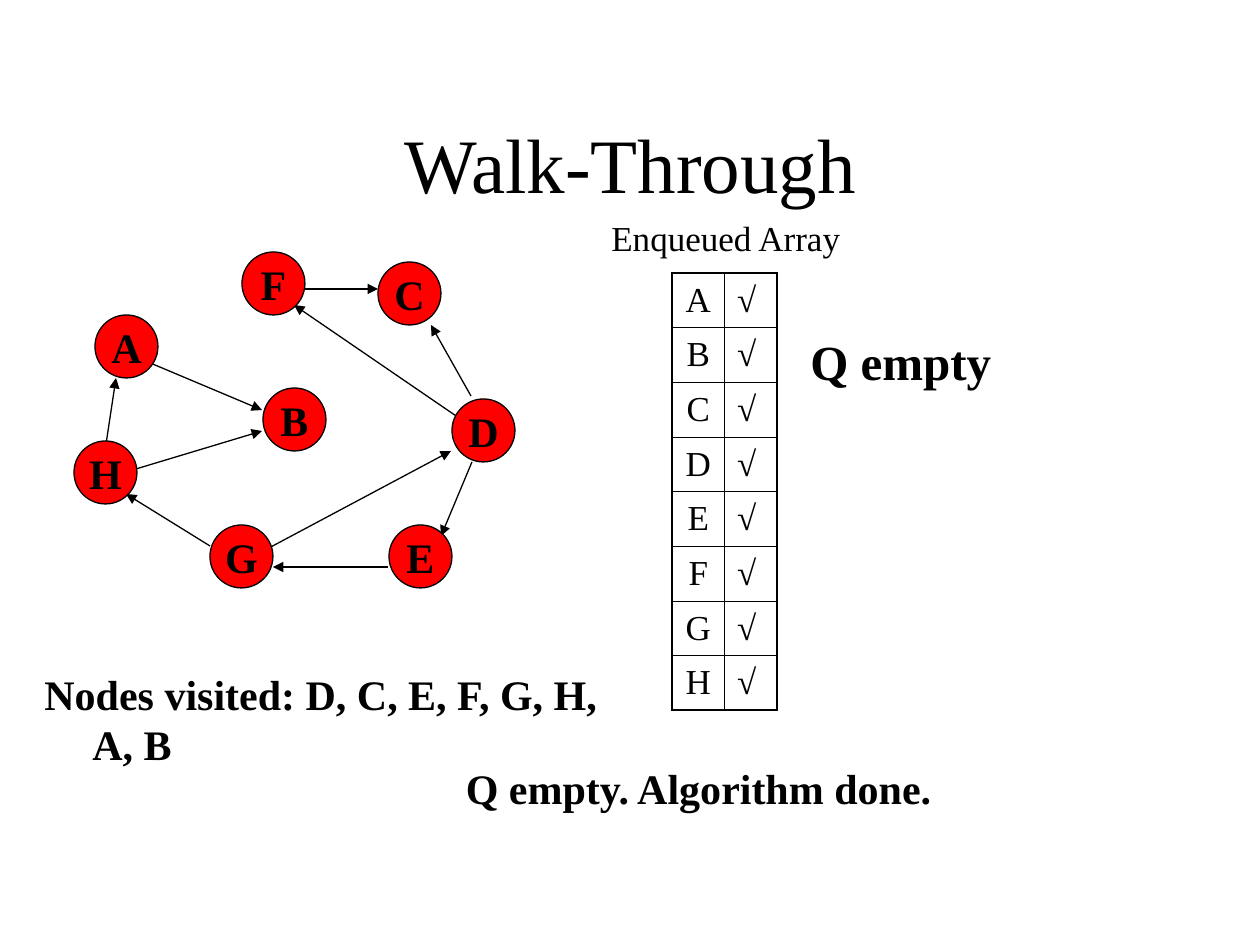
from lxml import etree
from pptx import Presentation
from pptx import util as u
from pptx.dml.color import RGBColor
from pptx.enum import shapes, text
from pptx.oxml.ns import qn

EMU_PER_PX = 914400 / 126
FONT = "Times New Roman"
BLACK, RED = "000000", "FF0000"
CENTER, LEFT = text.PP_ALIGN.CENTER, text.PP_ALIGN.LEFT
MIDDLE = text.MSO_ANCHOR.MIDDLE
NODE_SIZE = 63

NODES = {
    "A": (95, 315), "H": (74, 441), "B": (263, 388), "F": (242, 252),
    "E": (389, 525), "D": (452, 399), "C": (378, 262), "G": (210, 525),
}
EDGES = [
    (462, 420, 294, 305),  # D to F
    (472, 462, 441, 536),  # D to E
    (126, 472, 262, 431),  # H to B
    (252, 557, 451, 451),  # G to D
    (105, 451, 116, 378),  # H to A
    (136, 357, 262, 410),  # A to B
    (471, 396, 431, 325),  # D to C
    (388, 567, 273, 567),  # E to G
    (210, 546, 126, 494),  # G to H
    (305, 289, 378, 289),  # F to C
]


def px(length):
    return u.Emu(round(length * EMU_PER_PX))


def color(value):
    return RGBColor.from_string(value)


def apply(target, **values):
    for name, value in values.items():
        setattr(target, name, value)


def write(frame, words, size, bold=False, align=LEFT, before=0, hanging=0):
    """Fill a text frame with one formatted paragraph."""
    para = frame.paragraphs[0]
    apply(para, alignment=align, space_before=u.Pt(before))
    if hanging:
        properties = para._p.get_or_add_pPr()
        properties.set("marL", str(px(hanging)))
        properties.set("indent", str(-px(hanging)))
    span = para.add_run()
    span.text = words
    apply(span.font, name=FONT, size=u.Pt(size), bold=bold)
    span.font.color.rgb = color(BLACK)


def add_title(page, words, left, top, width, height):
    title = page.shapes.title
    apply(title, left=px(left), top=px(top), width=px(width), height=px(height))
    apply(title.text_frame, vertical_anchor=MIDDLE, word_wrap=True,
          auto_size=text.MSO_AUTO_SIZE.NONE)
    write(title.text_frame, words, 44, align=CENTER)


def add_text(page, words, left, top, width, height, size, **style):
    box = page.shapes.add_textbox(px(left), px(top), px(width), px(height))
    apply(box.text_frame, word_wrap=True,
          auto_size=text.MSO_AUTO_SIZE.SHAPE_TO_FIT_TEXT)
    write(box.text_frame, words, size, **style)


def add_edge(page, *ends):
    edge = page.shapes.add_connector(shapes.MSO_CONNECTOR.STRAIGHT, *map(px, ends))
    edge.line.color.rgb = color(BLACK)
    edge.line.width = u.Pt(0.75)
    line = edge.line._get_or_add_ln()
    etree.SubElement(line, qn("a:tailEnd"), type="triangle")
    etree.SubElement(edge._element.spPr, qn("a:effectLst"))


def add_node(page, name, left, top):
    node = page.shapes.add_shape(shapes.MSO_SHAPE.OVAL, px(left), px(top),
                                 px(NODE_SIZE), px(NODE_SIZE))
    node.shadow.inherit = False
    node.fill.solid()
    node.fill.fore_color.rgb = color(RED)
    node.line.color.rgb = color(BLACK)
    node.line.width = u.Pt(0.75)
    apply(node.text_frame, word_wrap=False, vertical_anchor=MIDDLE)
    write(node.text_frame, name, 24, bold=True, align=CENTER, before=6)


def set_borders(cell, outer):
    """Draw all four borders, with heavier lines on the outer sides."""
    properties = cell._tc.get_or_add_tcPr()
    for side in "LRTB":
        width = u.Pt(1.08 if side in outer else 0.45)
        line = etree.SubElement(properties, qn(f"a:ln{side}"), w=str(width))
        fill = etree.SubElement(line, qn("a:solidFill"))
        etree.SubElement(fill, qn("a:srgbClr"), val=BLACK)


def add_enqueued_table(page, names, left, top, width, height):
    last = len(names) - 1
    table = page.shapes.add_table(len(names), 2, px(left), px(top),
                                  px(width), px(height)).table
    apply(table, first_row=False, horz_banding=False)
    for column in table.columns:
        column.width = px(width / 2)
    for index, name in enumerate(names):
        table.rows[index].height = px(height / len(names))
        vertical = ("T" if index == 0 else "") + ("B" if index == last else "")
        for position, (words, align, side) in enumerate(
                [(name, CENTER, "L"), ("√", LEFT, "R")]):
            cell = table.cell(index, position)
            set_borders(cell, side + vertical)
            cell.fill.background()
            cell.vertical_anchor = MIDDLE
            write(cell.text_frame, words, 20, align=align, before=5)


def main():
    deck = Presentation()
    apply(deck, slide_width=px(1260), slide_height=px(945))
    page = deck.slides.add_slide(deck.slide_layouts[5])

    add_title(page, "Walk-Through", 95, 84, 1071, 158)
    for edge in EDGES:
        add_edge(page, *edge)
    for name, place in NODES.items():
        add_node(page, name, *place)

    add_text(page, "Enqueued Array", 599, 210, 262, 55, 20, before=12.5)
    add_enqueued_table(page, sorted(NODES), 672, 273, 105, 437)

    note = {"bold": True, "hanging": 48}
    add_text(page, "Q empty. Algorithm done.", 210, 756, 977, 63, 24,
             align=CENTER, before=15, **note)
    add_text(page, "Q empty", 798, 325, 431, 72, 28, before=17.5, **note)
    add_text(page, "Nodes visited: D, C, E, F, G, H, A, B", 32, 662, 620, 113,
             24, before=15, **note)
    deck.save("out.pptx")


if __name__ == "__main__":
    main()
